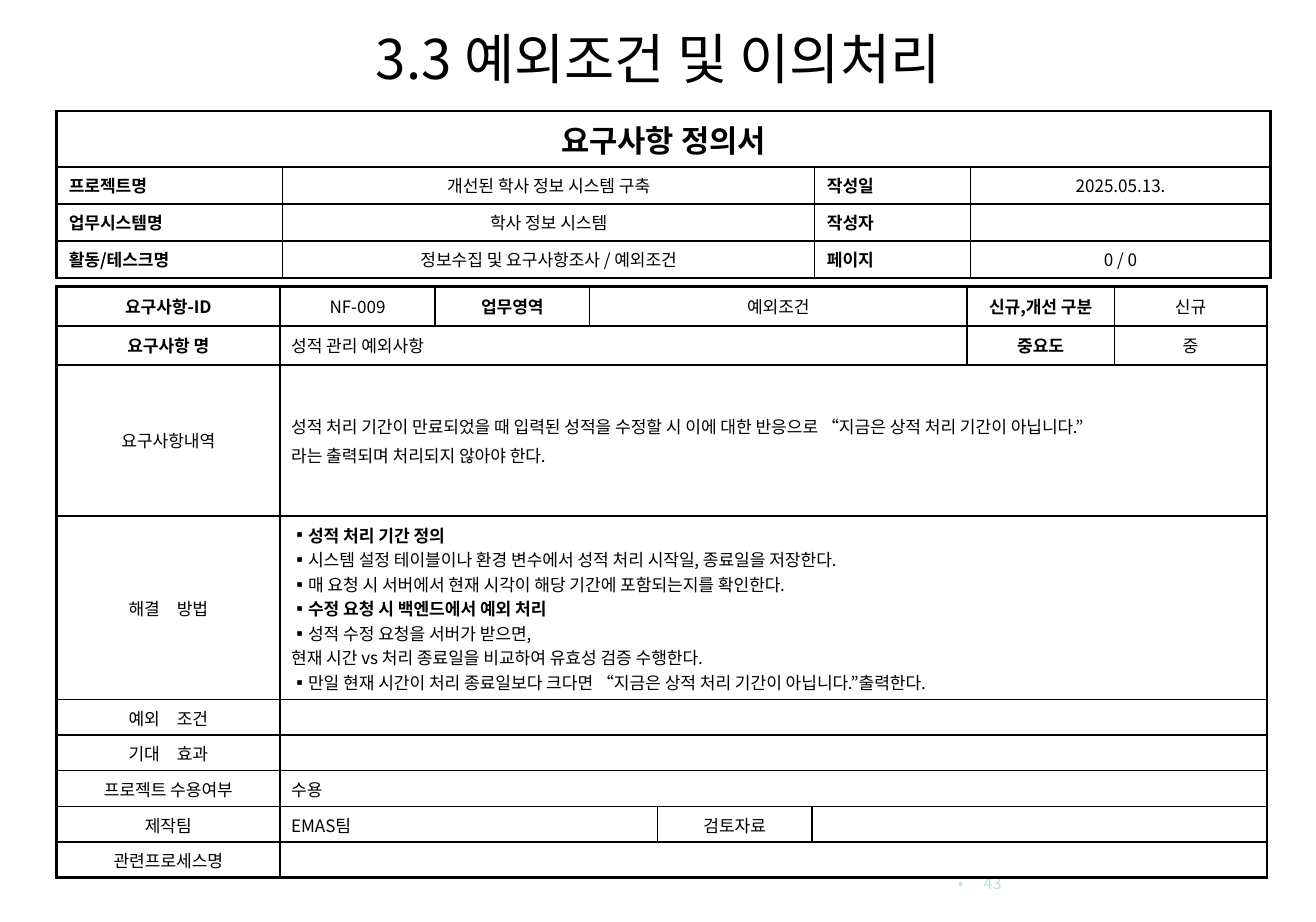
from dataclasses import dataclass

from lxml import etree
from pptx import Presentation
from pptx import util as u
from pptx.dml.color import RGBColor
from pptx.enum import text
from pptx.oxml.ns import qn

BLACK = RGBColor(0x00, 0x00, 0x00)
PALE_TEAL = RGBColor(0xBB, 0xE0, 0xE3)
LEFT, CENTER, RIGHT, JUSTIFY = (text.PP_ALIGN.LEFT, text.PP_ALIGN.CENTER,
                                text.PP_ALIGN.RIGHT, text.PP_ALIGN.JUSTIFY)


@dataclass
class Entry:
    words: str = ""
    span: int = 1
    align: object = CENTER
    bold: bool = False
    size: float = 10
    bullet: str = ""
    before: float = 2
    color: RGBColor = BLACK
    hang: float = 0


def label(words):
    return Entry(words, bold=True)


def field(words):
    return Entry(words, align=JUSTIFY, bold=True)


class Sheet:
    font_name = "Noto Sans CJK KR"
    thin, thick = 1, 1.5

    def __init__(self, presentation):
        self.slide = presentation.slides.add_slide(presentation.slide_layouts[5])

    def fill_frame(self, frame, entries):
        frame.word_wrap = True
        for index, entry in enumerate(entries):
            paragraph = frame.add_paragraph() if index else frame.paragraphs[0]
            formats = {"alignment": entry.align, "line_spacing": 1.0,
                       "space_before": u.Pt(entry.before)}
            for name, value in formats.items():
                setattr(paragraph, name, value)
            if entry.bullet:
                self.add_bullet(paragraph, entry)
            self.add_words(paragraph, entry)

    def add_bullet(self, paragraph, entry):
        properties = paragraph._p.get_or_add_pPr()
        properties.set("marL", str(u.Inches(entry.hang)))
        properties.set("indent", str(-u.Inches(entry.hang)))
        etree.SubElement(properties, qn("a:buFont"), typeface=self.font_name)
        etree.SubElement(properties, qn("a:buChar"), char=entry.bullet)

    def add_words(self, paragraph, entry):
        size = str(int(entry.size * 100))
        if not entry.words:
            etree.SubElement(paragraph._p, qn("a:endParaRPr"), sz=size)
            return
        formats = {"name": self.font_name, "size": u.Pt(entry.size), "bold": entry.bold}
        for index, line in enumerate(entry.words.split("\n")):
            if index:
                paragraph.add_line_break()
                etree.SubElement(paragraph._p[-1], qn("a:rPr"), sz=size)
            run = paragraph.add_run()
            run.text = line
            for name, value in formats.items():
                setattr(run.font, name, value)
            run.font.color.rgb = entry.color
            etree.SubElement(run._r.get_or_add_rPr(), qn("a:ea"), typeface=self.font_name)

    def place(self, shape, box):
        for name, value in zip(("left", "top", "width", "height"), box):
            setattr(shape, name, u.Inches(value))

    def add_title(self, box, entry):
        title = self.slide.shapes.title
        self.place(title, box)
        title.text_frame.auto_size = text.MSO_AUTO_SIZE.NONE
        title.text_frame.vertical_anchor = text.MSO_ANCHOR.MIDDLE
        self.fill_frame(title.text_frame, [entry])

    def add_text(self, box, entry):
        shape = self.slide.shapes.add_textbox(*map(u.Inches, box))
        shape.text_frame.vertical_anchor = text.MSO_ANCHOR.MIDDLE
        self.fill_frame(shape.text_frame, [entry])

    def add_border(self, cell, sides):
        properties = cell._tc.get_or_add_tcPr()
        for side, is_thick in sides.items():
            width = u.Pt(self.thick if is_thick else self.thin)
            line = etree.SubElement(properties, qn(f"a:ln{side}"), w=str(width))
            fill = etree.SubElement(line, qn("a:solidFill"))
            etree.SubElement(fill, qn("a:srgbClr"), val=str(BLACK))

    def add_table(self, left, top, widths, heights, rows, inset, thick_rows=0):
        shape = self.slide.shapes.add_table(
            len(heights), len(widths),
            *map(u.Inches, (left, top, sum(widths), sum(heights))))
        table = shape.table
        table.first_row = table.horz_banding = False
        for column, width in zip(table.columns, widths):
            column.width = u.Inches(width)
        for row, height in zip(table.rows, heights):
            row.height = u.Inches(height)
        formats = {"margin_left": u.Inches(inset), "margin_right": u.Inches(inset),
                   "margin_top": u.Inches(0.05), "margin_bottom": u.Inches(0.05),
                   "vertical_anchor": text.MSO_ANCHOR.MIDDLE}
        for row_index, row in enumerate(rows):
            start = 0
            for content in row:
                entries = content if isinstance(content, list) else [content]
                end = start + entries[0].span
                sides = {"L": start == 0, "R": end == len(widths),
                         "T": row_index <= thick_rows,
                         "B": row_index < thick_rows or row_index == len(rows) - 1}
                for column_index in range(start, end):
                    cell = table.cell(row_index, column_index)
                    self.add_border(cell, sides)
                    cell.fill.background()
                    for name, value in formats.items():
                        setattr(cell, name, value)
                cell = table.cell(row_index, start)
                if end - start > 1:
                    cell.merge(table.cell(row_index, end - 1))
                self.fill_frame(cell.text_frame, entries)
                start = end


def main():
    presentation = Presentation()
    presentation.slide_width = u.Inches(10.71)
    presentation.slide_height = u.Inches(7.5)
    sheet = Sheet(presentation)

    sheet.add_title((2.28, 0.19, 6.16, 0.55),
                    Entry("3.3 예외조건 및 이의처리", size=32, before=0))
    sheet.add_text((7.64, 6.97, 0.61, 0.42),
                   Entry("43", align=RIGHT, size=9.5, bullet="•", before=0,
                         color=PALE_TEAL, hang=0.21))

    details = [Entry(words, 7, LEFT) for words in (
        "성적 처리 기간이 만료되었을 때 입력된 성적을 수정할 시 이에 대한 반응으로 “지금은 상적 처리 기간이 아닙니다.”",
        "라는 출력되며 처리되지 않아야 한다.")]
    solution = [Entry(words, 7, LEFT, bold, bullet="▪", before=0) for words, bold in (
        ("성적 처리 기간 정의", True),
        ("시스템 설정 테이블이나 환경 변수에서 성적 처리 시작일, 종료일을 저장한다.", False),
        ("매 요청 시 서버에서 현재 시각이 해당 기간에 포함되는지를 확인한다.", False),
        ("수정 요청 시 백엔드에서 예외 처리", True),
        ("성적 수정 요청을 서버가 받으면,\n현재 시간 vs 처리 종료일을 비교하여 유효성 검증 수행한다.", False),
        ("만일 현재 시간이 처리 종료일보다 크다면 “지금은 상적 처리 기간이 아닙니다.”출력한다.", False))]
    requirement_rows = [
        [label("요구사항-ID"), Entry("NF-009"), label("업무영역"), Entry("예외조건", 3),
         label("신규,개선 구분"), Entry("신규")],
        [label("요구사항 명"), Entry("성적 관리 예외사항", 5, LEFT), label("중요도"), Entry("중")],
        [Entry("요구사항내역"), details],
        [Entry("해결　방법"), solution],
        [Entry("예외　조건"), Entry(span=7)],
        [Entry("기대　효과"), Entry(span=7)],
        [Entry("프로젝트 수용여부"), Entry("수용", 7, LEFT)],
        [Entry("제작팀"), Entry("EMAS팀", 3, LEFT), Entry("검토자료"), Entry(span=3)],
        [Entry("관련프로세스명"), Entry(span=7)],
    ]
    sheet.add_table(0.46, 2.33, [1.82, 1.26, 1.26, 0.55, 1.26, 1.26, 1.2, 1.24],
                    [0.32, 0.32, 1.23, 1.49] + [0.29] * 5,
                    requirement_rows, inset=0.09, thick_rows=2)

    header_rows = [
        [Entry("요구사항 정의서", 4, bold=True, size=18)],
        [field("프로젝트명"), Entry("개선된 학사 정보 시스템 구축"), field("작성일"), Entry("2025.05.13.")],
        [field("업무시스템명"), Entry("학사 정보 시스템"), field("작성자"), Entry()],
        [field("활동/테스크명"), Entry("정보수집 및 요구사항조사 / 예외조건"), field("페이지"), Entry("0 / 0")],
    ]
    sheet.add_table(0.46, 0.9, [1.84, 4.33, 1.27, 2.44], [0.46] + [0.3] * 3,
                    header_rows, inset=0.1)

    presentation.save("out.pptx")


if __name__ == "__main__":
    main()
